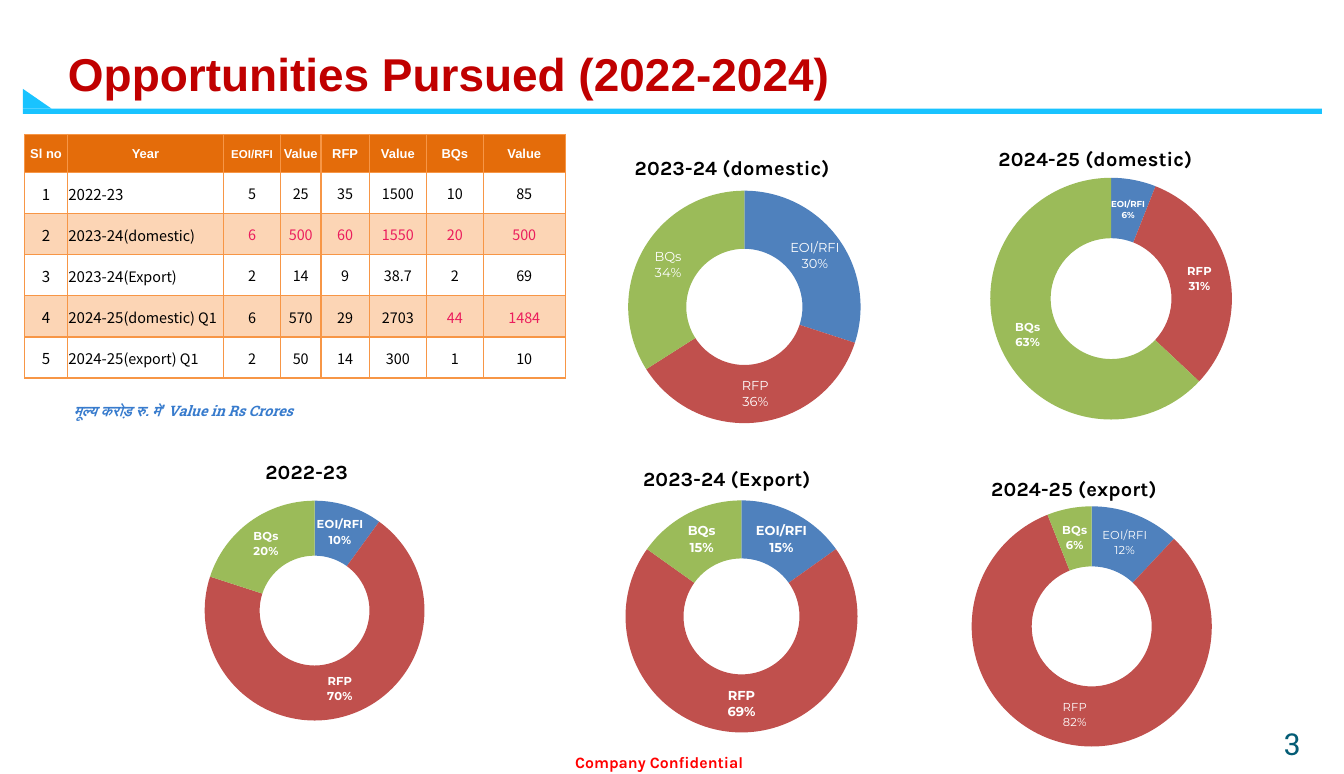
from lxml import etree
from pptx import Presentation
from pptx.chart.data import CategoryChartData
from pptx.dml.color import RGBColor
from pptx.enum import chart as ch, shapes, text
from pptx.oxml import parse_xml
from pptx.oxml.ns import nsdecls, qn
from pptx.util import Cm, Pt

CYAN = RGBColor(0x19, 0xC3, 0xFF)
RED = RGBColor(0xFF, 0x00, 0x00)
DARK_RED = RGBColor(0xC0, 0x00, 0x00)
TEAL = RGBColor(0x04, 0x5C, 0x75)
NOTE_BLUE = RGBColor(0x37, 0x7B, 0xCD)
WHITE = RGBColor(0xFF, 0xFF, 0xFF)
BLACK = RGBColor(0x00, 0x00, 0x00)
PINK = RGBColor(0xEB, 0x1D, 0x5D)
HEADER = RGBColor(0xE4, 0x6C, 0x0A)
BAND = RGBColor(0xFC, 0xD5, 0xB5)
SLICES = [RGBColor(0x4F, 0x81, 0xBD), RGBColor(0xC0, 0x50, 0x4D), RGBColor(0x9B, 0xBB, 0x59)]


def add_run(p, words, size, font, color, bold=False, italic=False):
    r = p.add_run()
    r.text = words
    f = r.font
    f.size, f.name, f.bold, f.italic = Pt(size), font, bold, italic
    f.color.rgb = color


def set_layout(parent, index, **fractions):
    """Give a chart part a manual place, in fractions of the chart's size."""
    for old in parent.findall(qn("c:layout")):
        parent.remove(old)
    inner = '<c:layoutTarget val="inner"/>' if "w" in fractions else ""
    modes = "".join(f'<c:{k}Mode val="edge"/>' for k in "xy")
    places = "".join(f'<c:{k} val="{v:.3f}"/>' for k, v in fractions.items())
    parent.insert(index, parse_xml(
        f'<c:layout {nsdecls("c")}><c:manualLayout>{inner}{modes}{places}'
        '</c:manualLayout></c:layout>'))


prs = Presentation()
prs.slide_width, prs.slide_height = Cm(33), Cm(19)
s = prs.slides.add_slide(prs.slide_layouts[6])

# Title rule
for kind, box in [(shapes.MSO_SHAPE.RECTANGLE, (0.56, 2.67, 31.9, 0.13)),
                  (shapes.MSO_SHAPE.RIGHT_TRIANGLE, (0.56, 2.18, 0.71, 0.49))]:
    sp = s.shapes.add_shape(kind, *map(Cm, box))
    sp.shadow.inherit = False
    sp.fill.solid()
    sp.fill.fore_color.rgb = CYAN
    sp.line.fill.background()

# Title, note, footer and page number
LEFT, RIGHT = text.PP_ALIGN.LEFT, text.PP_ALIGN.RIGHT
for words, box, insets, align, style in [
    ("Opportunities Pursued (2022-2024)", (1.42, 1, 28.2, 1.63), (0.25, 0.13), LEFT,
     (32, "Arial", DARK_RED, True)),
    ("मूल्य करोड़ रु. में’ Value in Rs Crores", (-0.3, 9.7, 7.82, 0.61), (0.33, 0.18), RIGHT,
     (10, "Roboto Slab", NOTE_BLUE, True, True)),
    ("Company Confidential", (13.87, 18.34, 4.85, 0.66), (0.25, 0.13), LEFT,
     (11, "Karla", RED, True)),
    ("3", (24.56, 17.63, 7.7, 1.02), (0.33, 0.18), RIGHT, (21, "Roboto Slab", TEAL)),
]:
    tf = s.shapes.add_textbox(*map(Cm, box)).text_frame
    tf.word_wrap = True
    tf.margin_left = tf.margin_right = Cm(insets[0])
    tf.margin_top = tf.margin_bottom = Cm(insets[1])
    tf.paragraphs[0].alignment = align
    add_run(tf.paragraphs[0], words, *style)

# Opportunities table
rows = [
    ["Sl no", "Year", "EOI/RFI", "Value", "RFP", "Value", "BQs", "Value"],
    ["1", "2022-23", "5", "25", "35", "1500", "10", "85"],
    ["2", "2023-24(domestic)", "6", "500", "60", "1550", "20", "500"],
    ["3", "2023-24(Export)", "2", "14", "9", "38.7", "2", "69"],
    ["4", "2024-25(domestic) Q1", "6", "570", "29", "2703", "44", "1484"],
    ["5", "2024-25(export) Q1", "2", "50", "14", "300", "1", "10"],
]
pink_from = {2: 2, 4: 6}
col_widths = [1.04, 3.84, 1.4, 0.99, 1.19, 1.4, 1.4, 2.01]
table = s.shapes.add_table(len(rows), len(col_widths), Cm(0.61), Cm(3.3),
                           Cm(sum(col_widths)), Cm(5.98)).table
for col, width in zip(table.columns, col_widths):
    col.width = Cm(width)
for i, row in enumerate(rows):
    table.rows[i].height = Cm(1.01 if i else 0.93)
    for j, words in enumerate(row):
        cell = table.cell(i, j)
        cell.margin_left = cell.margin_right = cell.margin_top = Cm(0.03)
        cell.margin_bottom = 0
        cell.vertical_anchor = text.MSO_ANCHOR.MIDDLE
        p = cell.text_frame.paragraphs[0]
        p.alignment = LEFT if i and j == 1 else text.PP_ALIGN.CENTER
        if i == 0:
            add_run(p, words, 8 if j == 2 else 9, "Arial", WHITE, True)
        else:
            color = PINK if j >= pink_from.get(i, 8) else BLACK
            year, bracket, kind = words.partition("(")
            add_run(p, year, 10.5 if j < 2 else 10, "Noto Sans CJK JP", color)
            if bracket:
                add_run(p, bracket + kind, 10, "Noto Sans CJK JP", color)
        tcPr = cell._tc.get_or_add_tcPr()
        for side in ("lnL", "lnR", "lnT", "lnB"):
            tcPr.append(parse_xml(
                f'<a:{side} {nsdecls("a")} w="12700"><a:solidFill>'
                f'<a:srgbClr val="F79646"/></a:solidFill></a:{side}>'))
        cell.fill.solid()
        cell.fill.fore_color.rgb = HEADER if i == 0 else WHITE if i % 2 else BAND

# Doughnuts: name, box, title corner, plot area, values, label size and weight, special labels
CATEGORIES = ["EOI/RFI", "RFP", "BQs"]
doughnuts = [
    ("2022-23", (2.46, 10.8, 11.56, 7.34), (6.42, 11.18),
     (0.222, 0.182, 0.467, 0.778), (10, 70, 20), 8, True, {}),
    ("2023-24 (domestic)", (12.8, 3.3, 10.21, 7.57), (15.5, 3.71),
     (0.257, 0.182, 0.559, 0.755), (30, 36, 34), 9, False, {}),
    ("2023-24 (Export)", (12.09, 10.95, 11.35, 7.19), (15.7, 11.35),
     (0.288, 0.164, 0.502, 0.836), (15, 69, 15), 9, True, {1: ("69%", 9)}),
    ("2024-25 (domestic)", (20.5, 3.1, 12.7, 7.62), (24.43, 3.5),
     (0.3, 0.166, 0.468, 0.779), (6, 31, 63), 8, True, {0: ("6%", 6)}),
    ("2024-25 (export)", (20.4, 11.02, 12.7, 7.62), (24.25, 11.6),
     (0.272, 0.185, 0.465, 0.774), (12, 82, 6), 8, False, {2: ("6%", 8)}),
]
for name, box, corner, plot_box, values, size, bold, special in doughnuts:
    data = CategoryChartData()
    data.categories = CATEGORIES
    data.add_series(name, values)
    chart = s.shapes.add_chart(ch.XL_CHART_TYPE.DOUGHNUT, *map(Cm, box), data).chart
    chart.has_legend = False
    chart.font.size, chart.font.name = Pt(10), "Karla"
    chart.font.color.rgb = BLACK
    chart._chartSpace.chart.addnext(parse_xml(
        f'<c:spPr {nsdecls("c", "a")}><a:noFill/><a:ln><a:noFill/></a:ln></c:spPr>'))

    chart.has_title = True
    title = chart.chart_title
    add_run(title.text_frame.paragraphs[0], name, 14, "Karla", BLACK, True)
    set_layout(title._element, 1, x=(corner[0] - box[0]) / box[2],
               y=(corner[1] - box[1]) / box[3])
    set_layout(chart._chartSpace.chart.plotArea, 0, **dict(zip("xywh", plot_box)))

    plot = chart.plots[0]
    plot.vary_by_categories = True
    plot._element.find(qn("c:holeSize")).set("val", "40")
    series = plot.series[0]
    for k, color in enumerate(SLICES):
        fill = series.points[k].format.fill
        fill.solid()
        fill.fore_color.rgb = color

    labels = series.data_labels
    labels.show_category_name = labels.show_percentage = True
    labels.show_value = False
    labels.font.size, labels.font.name, labels.font.bold = Pt(size), "Montserrat", bold
    labels.font.color.rgb = WHITE
    separator = etree.Element(qn("c:separator"))
    separator.text = "\n"
    labels._element.find(qn("c:showBubbleSize")).addnext(separator)
    for k, (share, label_size) in special.items():
        tf = series.points[k].data_label.text_frame
        add_run(tf.paragraphs[0], CATEGORIES[k], label_size, "Montserrat", WHITE, True)
        add_run(tf.add_paragraph(), share, label_size, "Montserrat", WHITE, True)

prs.save("out.pptx")
